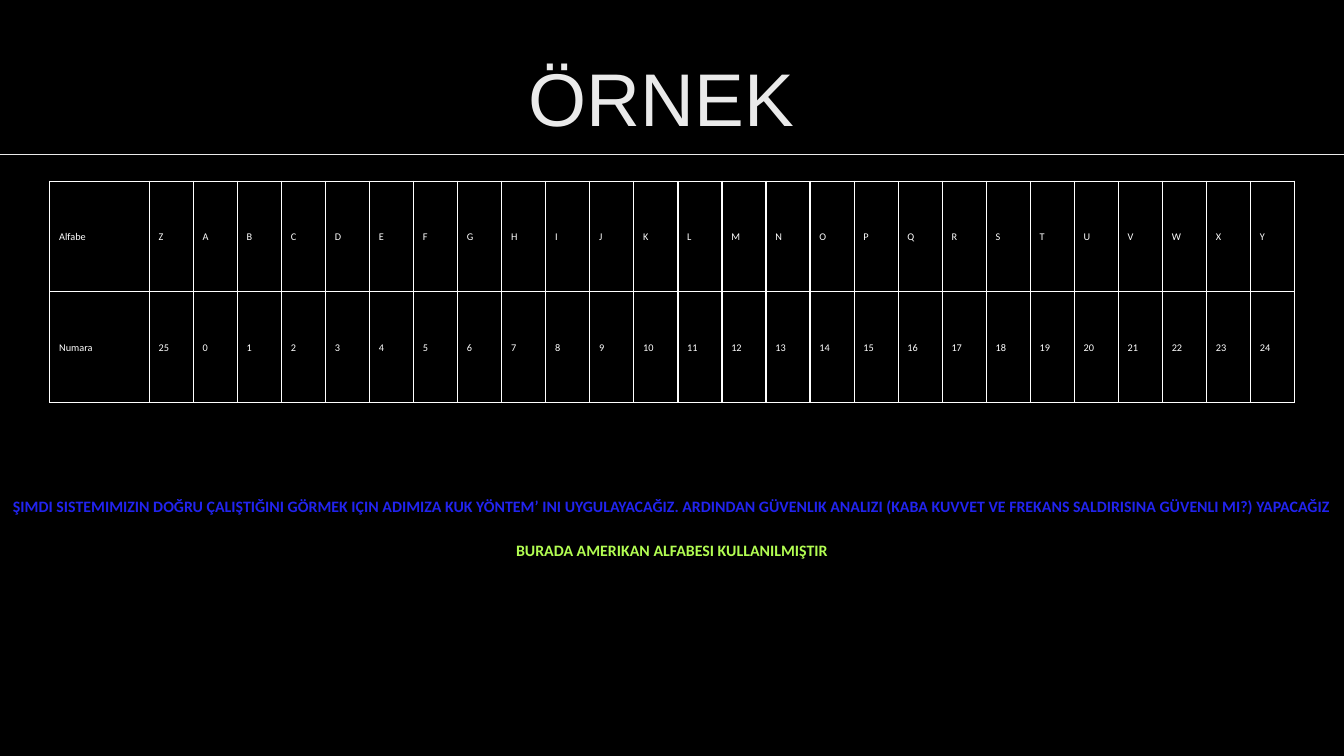
from lxml.etree import SubElement
from pptx import Presentation
from pptx.dml.color import RGBColor
from pptx.enum.shapes import MSO_CONNECTOR
from pptx.enum.text import MSO_ANCHOR, PP_ALIGN
from pptx.oxml.ns import qn
from pptx.util import Pt

TITLE = "ÖRNEK"
LETTERS = "ZABCDEFGHIJKLMNOPQRSTUVWXY"
ROWS = [
    ["Alfabe", *LETTERS],
    ["Numara", *[str((i - 1) % 26) for i in range(26)]],
]
NOTES = [
    ("ŞIMDI SISTEMIMIZIN DOĞRU ÇALIŞTIĞINI GÖRMEK IÇIN ADIMIZA KUK YÖNTEM’ INI "
     "UYGULAYACAĞIZ. ARDINDAN GÜVENLIK ANALIZI (KABA KUVVET VE FREKANS SALDIRISINA "
     "GÜVENLI MI?) YAPACAĞIZ", "2224EF"),
    ("BURADA AMERIKAN ALFABESI KULLANILMIŞTIR", "B2FD52"),
]

WIDTH, HEIGHT = 1440, 810
TABLE_LEFT, TABLE_TOP = 53.4, 194.2
LABEL_WIDTH, LETTER_WIDTH, ROW_HEIGHT = 106.6, 47.2, 118.5


def rgb(value):
    return RGBColor.from_string(value)


def style(para, font, size, color, spacing, bold=False, align=PP_ALIGN.CENTER):
    para.alignment = align
    para.line_spacing = Pt(spacing)
    for span in para.runs:
        span.font.name = font
        span.font.size = Pt(size)
        span.font.bold = bold
        span.font.color.rgb = rgb(color)


def add_text(page, left, top, width, height, lines):
    frame = page.shapes.add_textbox(Pt(left), Pt(top), Pt(width), Pt(height)).text_frame
    frame.word_wrap = True
    frame.margin_left = frame.margin_right = frame.margin_top = frame.margin_bottom = 0
    frame.text = "\n".join(lines)
    return frame


def add_border(cell, color, width):
    properties = cell._tc.get_or_add_tcPr()
    for position, side in enumerate(("a:lnL", "a:lnR", "a:lnT", "a:lnB")):
        line = SubElement(properties, qn(side), w=str(Pt(width)))
        fill = SubElement(line, qn("a:solidFill"))
        SubElement(fill, qn("a:srgbClr"), val=color)
        properties.insert(position, line)


def add_alphabet(page):
    columns = len(ROWS[0])
    table_width = LABEL_WIDTH + LETTER_WIDTH * (columns - 1)
    table = page.shapes.add_table(
        len(ROWS), columns, Pt(TABLE_LEFT), Pt(TABLE_TOP),
        Pt(table_width), Pt(ROW_HEIGHT * len(ROWS))).table
    table.first_row = table.horz_banding = False
    for i, column in enumerate(table.columns):
        column.width = Pt(LETTER_WIDTH if i else LABEL_WIDTH)
    for row, values in zip(table.rows, ROWS):
        row.height = Pt(ROW_HEIGHT)
        for cell, value in zip(row.cells, values):
            cell.text = value
            cell.vertical_anchor = MSO_ANCHOR.MIDDLE
            cell.margin_left = Pt(10)
            cell.margin_right = cell.margin_top = cell.margin_bottom = Pt(5)
            cell.fill.background()
            add_border(cell, "FFFFFF", 1.5)
            style(cell.text_frame.paragraphs[0], "Calibri", 11, "FFFFFF", 15.4,
                  align=PP_ALIGN.LEFT)


def main():
    deck = Presentation()
    deck.slide_width, deck.slide_height = Pt(WIDTH), Pt(HEIGHT)
    page = deck.slides.add_slide(deck.slide_layouts[6])
    page.background.fill.solid()
    page.background.fill.fore_color.rgb = rgb("000000")

    title = add_text(page, 165.6, 47.5, 1108.8, 100.8, [TITLE])
    title.margin_right = Pt(22)
    style(title.paragraphs[0], "Arial", 80, "EAEAEA", 104)

    rule = page.shapes.add_connector(
        MSO_CONNECTOR.STRAIGHT, Pt(WIDTH), Pt(165), Pt(0), Pt(165))
    rule.line.color.rgb = rgb("EAEAEA")
    rule.line.width = Pt(0.75)
    SubElement(rule._element.spPr, qn("a:effectLst"))

    add_alphabet(page)

    notes = add_text(page, 0, 528.5, WIDTH, 94.3, [text for text, color in NOTES])
    for para, (text, color) in zip(notes.paragraphs, NOTES):
        style(para, "Calibri", 17, color, 23.8, bold=True)
    notes.paragraphs[1].space_before = Pt(23.8)

    deck.save("out.pptx")


if __name__ == "__main__":
    main()
